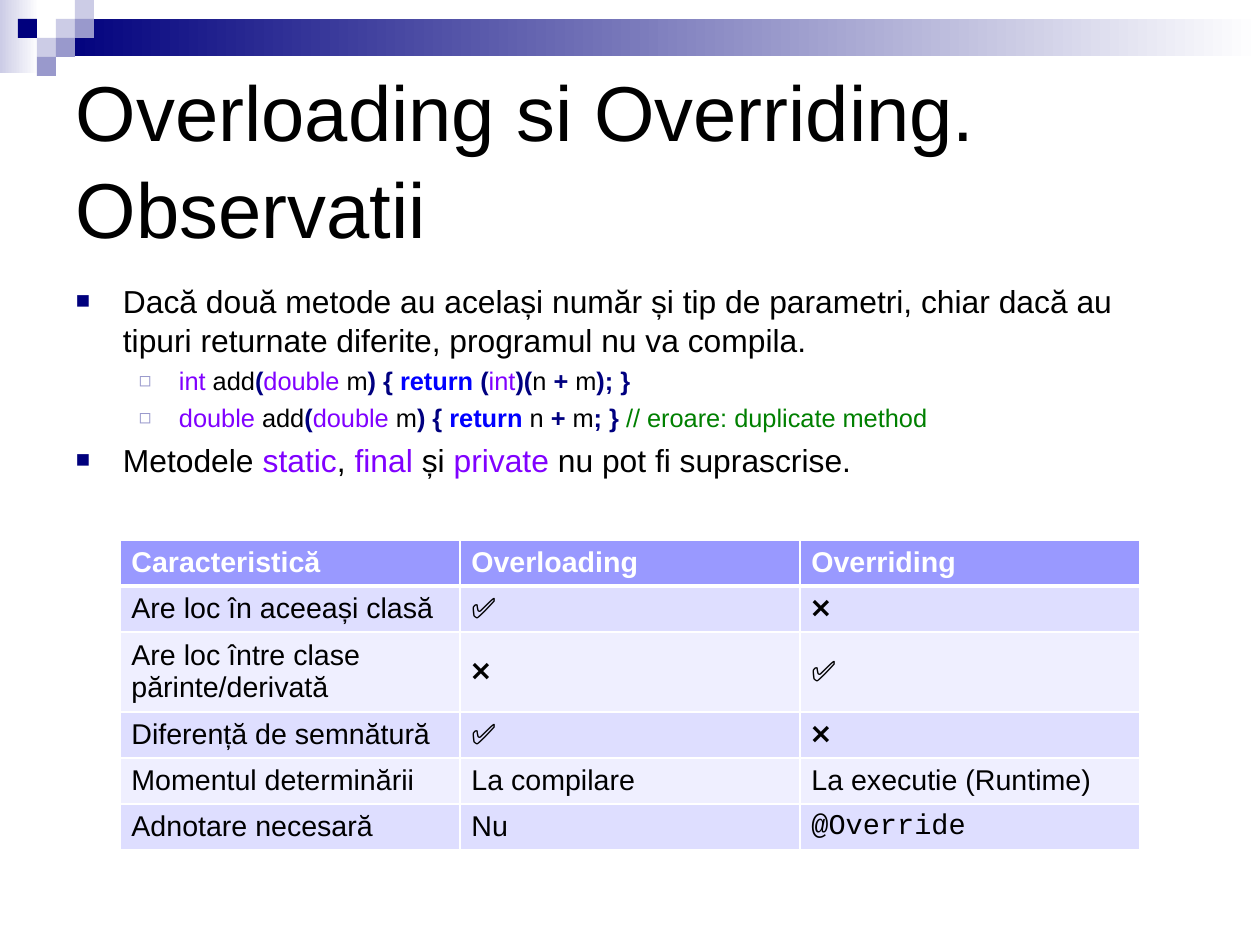
"""Build the slide on overloading and overriding in Java."""
import pptx
import pptx.dml.color
import pptx.enum.shapes
import pptx.enum.text
import pptx.oxml
import pptx.oxml.ns
import pptx.util

RGB = pptx.dml.color.RGBColor
BLACK = RGB(0x00, 0x00, 0x00)
WHITE = RGB(0xFF, 0xFF, 0xFF)
DARK_BLUE = RGB(0x00, 0x00, 0x7D)
LAVENDER = RGB(0xCC, 0xCC, 0xE6)
MID_LAVENDER = RGB(0x99, 0x99, 0xCC)
OPERATOR = RGB(0x00, 0x00, 0x80)
KEYWORD = RGB(0x00, 0x00, 0xFF)
TYPE = RGB(0x80, 0x00, 0xFF)
COMMENT = RGB(0x00, 0x80, 0x00)
HEADER = RGB(0x99, 0x99, 0xFF)
BANDS = [RGB(0xEF, 0xEF, 0xFF), RGB(0xDE, 0xDE, 0xFF)]
PX = 8000
MIDDLE = pptx.enum.text.MSO_ANCHOR.MIDDLE
RECT = pptx.enum.shapes.MSO_SHAPE.RECTANGLE
NS = pptx.oxml.ns.nsdecls("a")


def add_text(p, text, size=18, color=BLACK, bold=False, font="Arial"):
    r = p.add_run()
    r.text = text
    r.font.size = pptx.util.Pt(size)
    r.font.color.rgb = color
    r.font.bold = bold
    r.font.name = font


def add_box(x, y, w, h, fill=None):
    box = [v * PX for v in (x, y, w, h)]
    if fill is None:
        sp = s.shapes.add_textbox(*box)
        tf = sp.text_frame
        tf.word_wrap = True
        tf.margin_left = tf.margin_right = 13 * PX
        tf.margin_top = tf.margin_bottom = 7 * PX
        return tf
    sp = s.shapes.add_shape(RECT, *box)
    sp.shadow.inherit = False
    sp.line.fill.background()
    if len(fill) == 1:
        sp.fill.solid()
        sp.fill.fore_color.rgb = fill[0]
    else:
        sp.fill.gradient()
        sp.fill.gradient_angle = 0
        for stop, color in zip(sp.fill.gradient_stops, fill):
            stop.color.rgb = color


prs = pptx.Presentation()
prs.slide_width, prs.slide_height = 1260 * PX, 945 * PX
s = prs.slides.add_slide(prs.slide_layouts[6])

add_box(0, 0, 39, 73, [LAVENDER, WHITE])
add_box(57, 19, 1203, 37, [DARK_BLUE, WHITE])
SQUARES = [(2, 1, LAVENDER), (3, 0, LAVENDER), (3, 1, MID_LAVENDER), (1, 2, LAVENDER),
           (0, 1, DARK_BLUE), (2, 2, MID_LAVENDER), (1, 3, MID_LAVENDER)]
for col, row, color in SQUARES:
    add_box(18 + 19 * col, 19 * row, 19, 19, [color])

tf = add_box(63, 63, 1134, 189)
tf.vertical_anchor = MIDDLE
tf.paragraphs[0].line_spacing = 1.04
add_text(tf.paragraphs[0], "Overloading si Overriding. Observatii", size=49)

LEVELS = [
    dict(size=20, before=4, margin=47, indent=-47, bullet="■", color=DARK_BLUE, pct=75),
    dict(size=16, before=3.2, margin=103, indent=-40, bullet="◻", color=MID_LAVENDER, pct=80),
]
PARAGRAPHS = [
    (0, [("Dacă două metode au același număr și tip de parametri, chiar dacă au "
          "tipuri returnate diferite, programul nu va compila.", BLACK)]),
    (1, [("int", TYPE), (" add", BLACK), ("(", OPERATOR), ("double", TYPE), (" m", BLACK),
         (") { ", OPERATOR), ("return", KEYWORD), (" (", OPERATOR), ("int", TYPE),
         (")(", OPERATOR), ("n ", BLACK), ("+", OPERATOR), (" m", BLACK), ("); }", OPERATOR)]),
    (1, [("double", TYPE), (" add", BLACK), ("(", OPERATOR), ("double", TYPE), (" m", BLACK),
         (") { ", OPERATOR), ("return", KEYWORD), (" n ", BLACK), ("+", OPERATOR),
         (" m", BLACK), ("; } ", OPERATOR), ("// eroare: duplicate method", COMMENT)]),
    (0, [("Metodele ", BLACK), ("static", TYPE), (", ", BLACK), ("final", TYPE),
         (" și ", BLACK), ("private", TYPE), (" nu pot fi suprascrise.", BLACK)]),
]
tf = add_box(63, 273, 1134, 535)
for i, (level, runs) in enumerate(PARAGRAPHS):
    style = LEVELS[level]
    p = tf.add_paragraph() if i else tf.paragraphs[0]
    p.level = level
    pPr = p._p.get_or_add_pPr()
    pPr.set("marL", str(style["margin"] * PX))
    pPr.set("indent", str(style["indent"] * PX))
    for xml in (f'<a:buClr {NS}><a:srgbClr val="{style["color"]}"/></a:buClr>',
                f'<a:buSzPct {NS} val="{style["pct"] * 1000}"/>',
                f'<a:buFont {NS} typeface="Arial"/>',
                f'<a:buChar {NS} char="{style["bullet"]}"/>'):
        pPr.append(pptx.oxml.parse_xml(xml))
    p.line_spacing = 1.04
    if i:
        p.space_before = pptx.util.Pt(style["before"])
    for text, color in runs:
        add_text(p, text, size=style["size"], color=color, bold=color in (OPERATOR, KEYWORD))

ROWS = [
    ("Caracteristică", "Overloading", "Overriding"),
    ("Are loc în aceeași clasă", "✅", "❌"),
    ("Are loc între clase părinte/derivată", "❌", "✅"),
    ("Diferență de semnătură", "✅", "❌"),
    ("Momentul determinării", "La compilare", "La executie (Runtime)"),
    ("Adnotare necesară", "Nu", "@Override"),
]
table = s.shapes.add_table(len(ROWS), 3, 120 * PX, 540 * PX, 1020 * PX, 276 * PX).table
for i, row in enumerate(ROWS):
    table.rows[i].height = 46 * PX
    for j, text in enumerate(row):
        cell = table.cell(i, j)
        cell.vertical_anchor = MIDDLE
        cell.fill.solid()
        cell.fill.fore_color.rgb = BANDS[i % 2] if i else HEADER
        add_text(cell.text_frame.paragraphs[0], text, bold=i == 0,
                 color=BLACK if i else WHITE,
                 font="Courier New" if text.startswith("@") else "Arial")
        tcPr = cell._tc.get_or_add_tcPr()
        for k, side in enumerate("LRTB"):
            width = 3 if (i, side) in ((0, "B"), (1, "T")) else 1
            tcPr.insert(k, pptx.oxml.parse_xml(
                f'<a:ln{side} {NS} w="{width * 12700}"><a:solidFill>'
                f'<a:srgbClr val="{WHITE}"/></a:solidFill></a:ln{side}>'))

prs.save("out.pptx")
